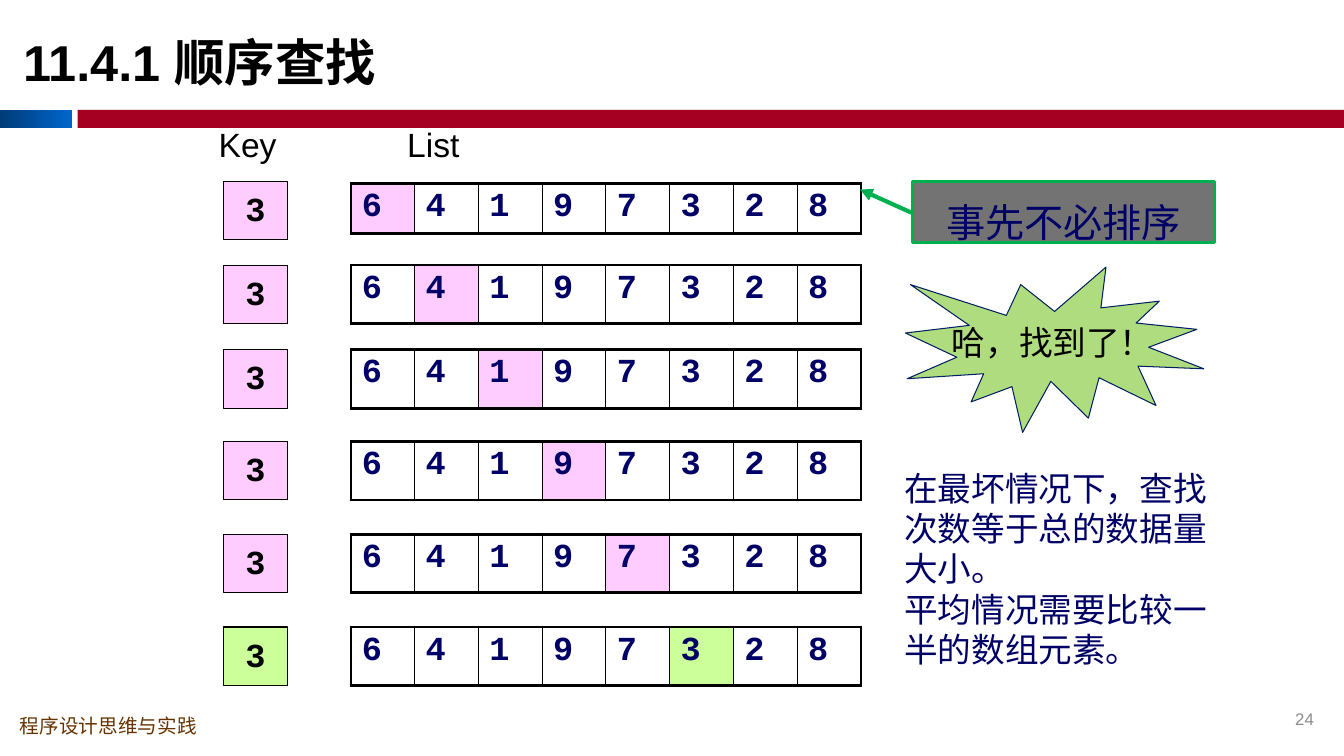
from lxml import etree
from pptx import Presentation
from pptx.dml.color import RGBColor
from pptx.enum.shapes import MSO_CONNECTOR as Link, MSO_SHAPE as Kind
from pptx.enum.text import MSO_ANCHOR as Anchor, PP_ALIGN as Align
from pptx.oxml.ns import qn
from pptx.util import Inches, Pt

BLACK = RGBColor(0, 0, 0)
NAVY = RGBColor(0x00, 0x00, 0x66)
PINK = RGBColor(0xFF, 0xCC, 0xFF)
LIME = RGBColor(0xCC, 0xFF, 0x99)
LEAF = RGBColor(0xAF, 0xDC, 0x7E)
GREEN = RGBColor(0x00, 0xB0, 0x50)
GRAY = RGBColor(0x73, 0x73, 0x73)
PALE = RGBColor(0x8C, 0x8C, 0x8C)
BROWN = RGBColor(0x66, 0x33, 0x00)
RED = RGBColor(0xA5, 0x00, 0x21)
DEEP = RGBColor(0x00, 0x3C, 0x79)
BLUE = RGBColor(0x00, 0x66, 0xCC)
INK = RGBColor(0x00, 0x20, 0x60)

SANS = "Arial"
MONO = "Courier New"
HAN = "Noto Sans CJK SC"
ITEMS = "64197328"
KEY = "3"
TOPS = [1.8, 2.63, 3.47, 4.38, 5.3, 6.22]


def write(frame, text, size=24, font=SANS, color=BLACK, bold=False,
          align=Align.LEFT, anchor=Anchor.TOP, wrap=True,
          line=None, before=0, after=0):
    frame.word_wrap = wrap
    frame.vertical_anchor = anchor
    for i, part in enumerate(text.split("\n")):
        para = frame.add_paragraph() if i else frame.paragraphs[0]
        para.alignment = align
        para.line_spacing = line
        para.space_before = Pt(before)
        para.space_after = Pt(after)
        run = para.add_run()
        run.text = part
        run.font.size = Pt(size)
        run.font.name = font
        run.font.bold = bold
        run.font.color.rgb = color
        asian = etree.SubElement(run.font._element, qn("a:ea"))
        asian.set("typeface", HAN)


def label(slide, text, x, y, w, h, **fmt):
    box = slide.shapes.add_textbox(Inches(x), Inches(y), Inches(w), Inches(h))
    write(box.text_frame, text, **fmt)


def block(slide, kind, x, y, w, h, fill, edge=None, width=0.75):
    shape = slide.shapes.add_shape(
        kind, Inches(x), Inches(y), Inches(w), Inches(h))
    shape.shadow.inherit = False
    shape.fill.solid()
    shape.fill.fore_color.rgb = fill
    if edge is None:
        shape.line.fill.background()
    else:
        shape.line.color.rgb = edge
        shape.line.width = Pt(width)
    return shape


def border(cell, side, width):
    props = cell._tc.get_or_add_tcPr()
    line = etree.SubElement(props, qn("a:ln" + side), w=str(Pt(width)))
    fill = etree.SubElement(line, qn("a:solidFill"))
    etree.SubElement(fill, qn("a:srgbClr"), val=str(BLACK))


def strip(slide, y, h, mark, color):
    count = len(ITEMS)
    frame = slide.shapes.add_table(
        1, count, Inches(3.48), Inches(y), Inches(5.06), Inches(h))
    table = frame.table
    table.first_row = table.horz_banding = False
    for i, item in enumerate(ITEMS):
        table.columns[i].width = Inches(5.06 / count)
        cell = table.cell(0, i)
        cell.margin_left = cell.margin_right = Inches(0.11)
        write(cell.text_frame, item, font=MONO, color=NAVY, bold=True,
              line=0.95, before=3)
        border(cell, "L", 2.25 if i == 0 else 1)
        border(cell, "R", 2.25 if i == count - 1 else 1)
        border(cell, "T", 2.25)
        border(cell, "B", 2.25)
        if i == mark:
            cell.fill.solid()
            cell.fill.fore_color.rgb = color
        else:
            cell.fill.background()


def search(slide):
    for step, top in enumerate(TOPS):
        color = LIME if ITEMS[step] == KEY else PINK
        y, h = (1.82, 0.5) if step == 0 else (top, 0.58)
        strip(slide, y, h, step, color)
        key = block(slide, Kind.RECTANGLE, 2.22, top, 0.63, 0.58, color, BLACK)
        write(key.text_frame, KEY, font=MONO, bold=True, align=Align.CENTER,
              anchor=Anchor.MIDDLE, wrap=False, line=0.9, after=5.9)


def arrow(slide, x1, y1, x2, y2):
    link = slide.shapes.add_connector(
        Link.STRAIGHT, Inches(x1), Inches(y1), Inches(x2), Inches(y2))
    link.line.color.rgb = GREEN
    link.line.width = Pt(3)
    etree.SubElement(link.line._get_or_add_ln(), qn("a:tailEnd"),
                     type="triangle")
    etree.SubElement(link._element.spPr, qn("a:effectLst"))


def frame(slide):
    label(slide, "程序设计思维与实践", 0.1, 7.06, 2.5, 0.32,
          size=14, color=BROWN, line=0.9)
    tab = block(slide, Kind.RECTANGLE, 0, 1.09, 0.71, 0.18, BLUE)
    tab.fill.gradient()
    tab.fill.gradient_angle = 0
    for stop, color in zip(tab.fill.gradient_stops, (DEEP, BLUE)):
        stop.color.rgb = color
    block(slide, Kind.RECTANGLE, 0.77, 1.09, 12.56, 0.18, RED)
    label(slide, "24", 11.8, 6.98, 1.33, 0.31, size=12, color=PALE,
          align=Align.RIGHT, anchor=Anchor.MIDDLE)
    label(slide, "11.4.1 顺序查找", 0.13, -0.02, 9.75, 1.25, size=36,
          bold=True, anchor=Anchor.MIDDLE)


def notes(slide):
    burst = block(slide, Kind.EXPLOSION1, 8.98, 2.65, 2.96, 1.64, LEAF, INK)
    write(burst.text_frame, "哈，找到了！", font=HAN, align=Align.CENTER,
          anchor=Anchor.MIDDLE, wrap=False, line=0.9, after=5.9)
    arrow(slide, 9.04, 2.11, 8.53, 1.88)
    hint = block(slide, Kind.RECTANGLE, 9.05, 1.8, 3, 0.61, GRAY, GREEN, 2)
    write(hint.text_frame, "事先不必排序", size=28, font=HAN, color=NAVY,
          align=Align.CENTER, line=1.25, before=5.9, after=5.9)
    label(slide, "在最坏情况下，查找次数等于总的数据量大小。\n"
          "平均情况需要比较一半的数组元素。", 8.87, 4.59, 3.37, 2.12,
          font=HAN, color=NAVY)


def main():
    deck = Presentation()
    deck.slide_width = Inches(13.33)
    deck.slide_height = Inches(7.5)
    slide = deck.slides.add_slide(deck.slide_layouts[6])
    frame(slide)
    search(slide)
    for text, x, w in (("Key", 2.07, 1.32), ("List", 3.94, 2.64)):
        label(slide, text, x, 1.23, w, 0.47, line=0.9, before=5.9, after=5.9)
    notes(slide)
    deck.save("out.pptx")


if __name__ == "__main__":
    main()
